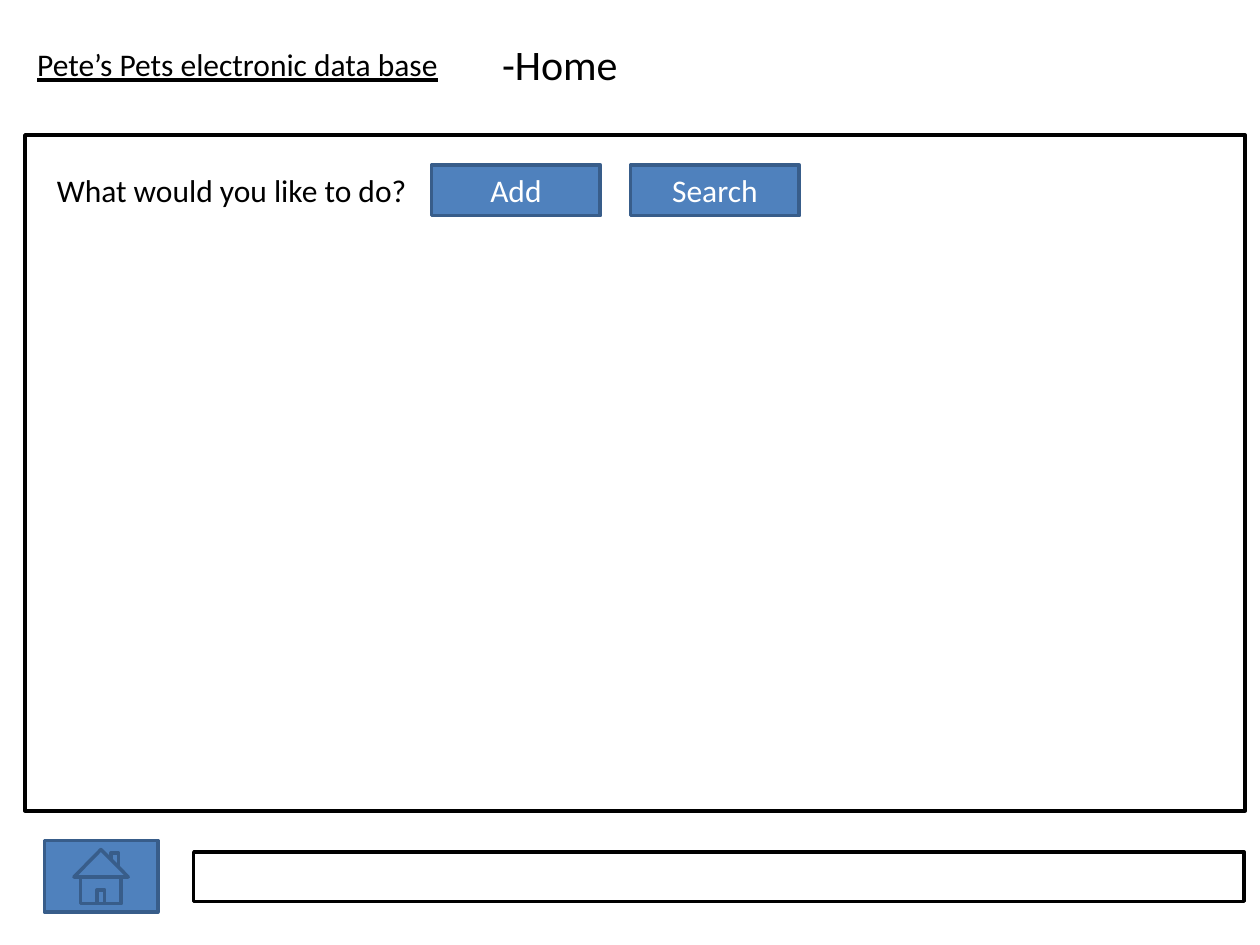
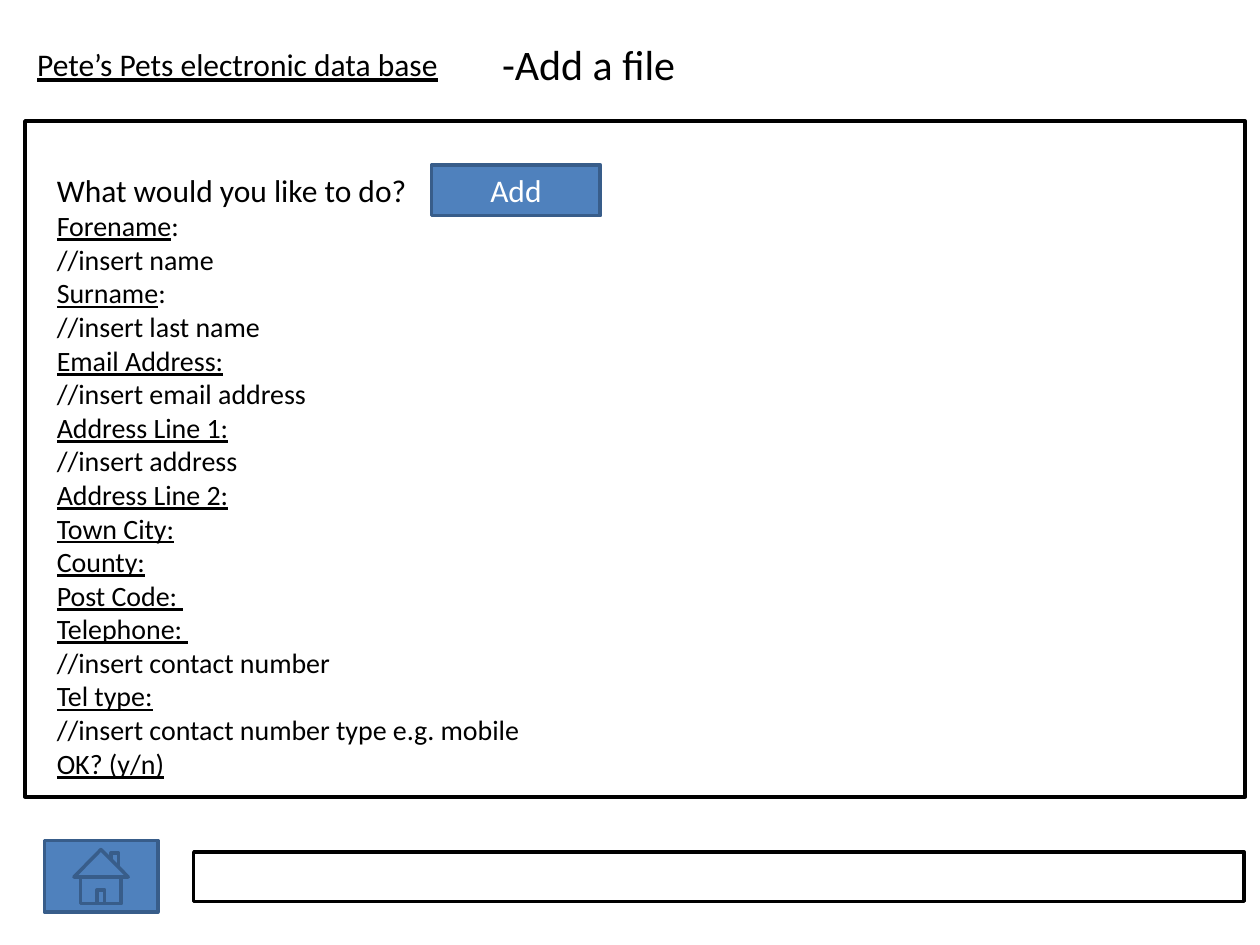
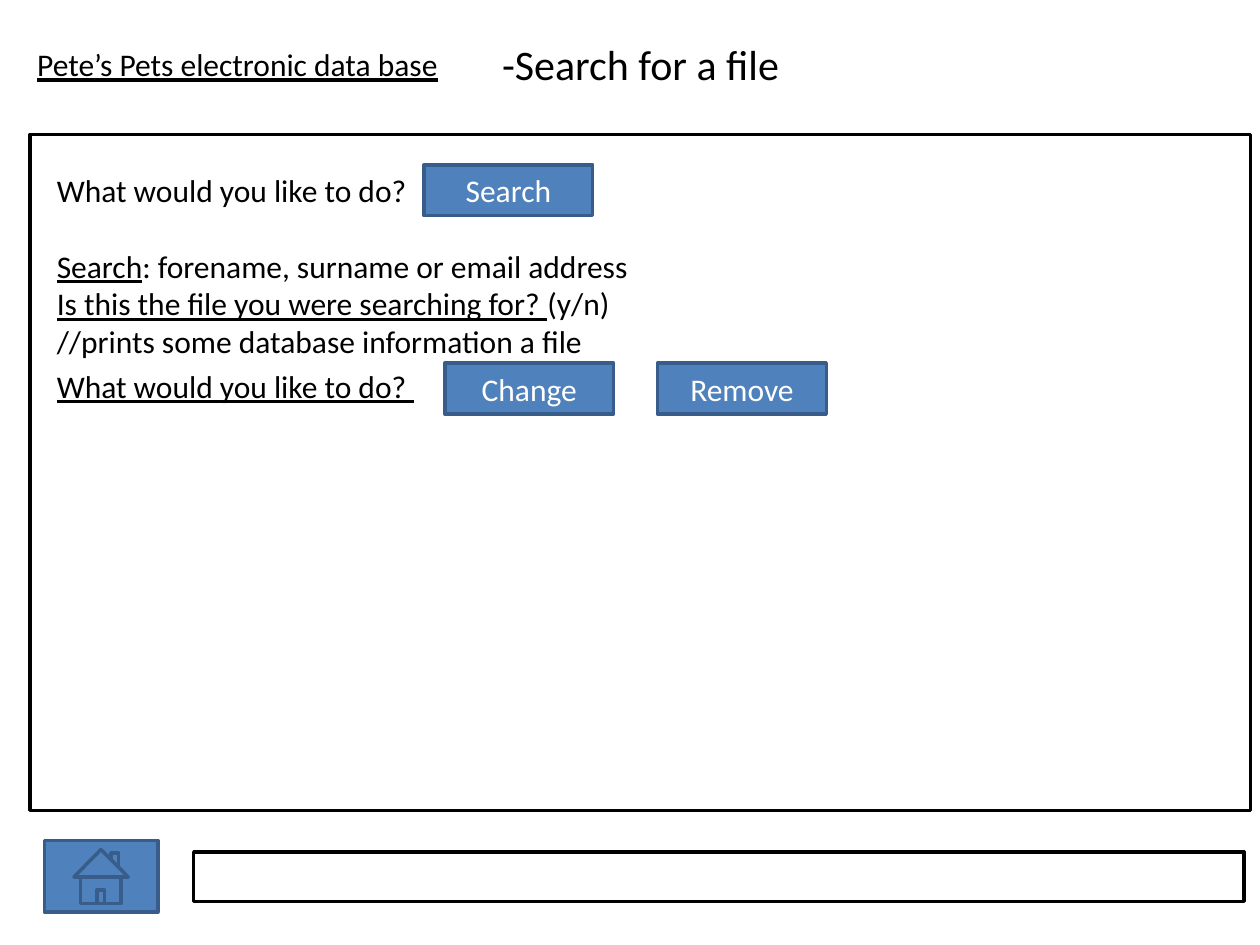
"""Build three screen mock-ups of a pet shop data base."""
from pptx import Presentation
from pptx.dml.color import RGBColor
from pptx.enum.shapes import MSO_SHAPE
from pptx.enum.text import MSO_ANCHOR, MSO_AUTO_SIZE, PP_ALIGN
from pptx.util import Pt

RECT = MSO_SHAPE.RECTANGLE
MIDDLE = MSO_ANCHOR.MIDDLE
GROW = MSO_AUTO_SIZE.SHAPE_TO_FIT_TEXT
LEFT, CENTER = PP_ALIGN.LEFT, PP_ALIGN.CENTER

INK = {"black": "000000", "white": "FFFFFF", "blue": "4F81BD", "navy": "385D8A"}
ASK = "What would you like to do?"

roof = [(57.7, 485.5), (42.3, 501.2), (73.3, 501.2), (57.7, 485.5)]
flue = [(63.4, 491.2), (63.4, 487.4), (67.7, 487.4), (67.7, 495.4)]
walls = [(46.1, 501.2), (46.1, 516.4), (69.3, 516.4), (69.3, 501.2)]
door = [(55.5, 516.4), (55.5, 508.5), (59.8, 508.5), (59.8, 516.4)]

screens = [
    {
        "title": "-Home", "width": 194, "panel": (14.3, 77.2),
        "body": (237.6, 29.1), "size": 18, "gaps": {}, "lines": [ASK],
        "keys": [("Add", 246.6, 94.2), ("Search", 360.3, 94.2)],
    },
    {
        "title": "-Add a file", "width": 119.5, "panel": (14.3, 69.2),
        "body": (283.7, 358.6), "size": 16, "gaps": {},
        "lines": [
            ASK, "_Forename_:", "//insert name", "_Surname_:",
            "//insert last name", "_Email Address:_", "//insert email address",
            "_Address Line 1:_", "//insert address", "_Address Line 2:_",
            "_Town City:_", "_County:_", "_Post Code: _", "_Telephone: _",
            "//insert contact number", "_Tel type:_",
            "//insert contact number type e.g. mobile", "_OK? (y/n)_",
        ],
        "keys": [("Add", 246.6, 94.2)],
    },
    {
        "title": "-Search for a file", "width": 194, "panel": (17.3, 76.9),
        "body": (408.2, 181.4), "size": 18, "gaps": {1: 21.6, 4: 4},
        "lines": [
            ASK, "_Search_: forename, surname or email address",
            "_Is this the file you were searching for? _(y/n)",
            "//prints some database information a file", f"_{ASK} _",
        ],
        "keys": [("Search", 242.3, 94.2), ("Change", 254.2, 207.5),
                 ("Remove", 375.8, 207.5)],
    },
]


def draw(slide, area, fill, edge):
    """Add a filled and outlined rectangle."""
    shape = slide.shapes.add_shape(RECT, *map(Pt, area))
    shape.shadow.inherit = False
    shape.fill.solid()
    shape.fill.fore_color.rgb = RGBColor.from_string(INK[fill])
    shape.line.color.rgb = RGBColor.from_string(INK[edge])
    shape.line.width = Pt(2)
    return shape


def write(frame, lines, sizes, gaps, ink="black", align=LEFT):
    """Write lines, underlining what stands between underscores."""
    frame.word_wrap = True
    for row, (line, size) in enumerate(zip(lines, sizes)):
        para = frame.add_paragraph() if row else frame.paragraphs[0]
        para.alignment = align
        if row in gaps:
            para.space_before = Pt(gaps[row])
        for part, text in enumerate(line.split("_")):
            if text:
                run = para.add_run()
                run.text = text
                look = {"name": "Calibri", "size": Pt(size), "underline": part % 2 == 1}
                for key, value in look.items():
                    setattr(run.font, key, value)
                run.font.color.rgb = RGBColor.from_string(INK[ink])


deck = Presentation()
deck.slide_width, deck.slide_height = Pt(720), Pt(540)

for screen in screens:
    slide = deck.slides.add_slide(deck.slide_layouts[6])
    draw(slide, (110.7, 486.8, 600.2, 28.3), "white", "black")
    draw(slide, (*screen["panel"], 697.3, 386.2), "white", "black")
    draw(slide, (25.4, 480.3, 64.8, 41), "blue", "navy")

    pen = slide.shapes.build_freeform(Pt(roof[0][0]), Pt(roof[0][1]))
    for part in (roof, flue, walls, door):
        spots = [(Pt(x), Pt(y)) for x, y in part]
        pen.move_to(*spots[0])
        pen.add_line_segments(spots[1:], close=False)
    house = pen.convert_to_shape()
    house.shadow.inherit = False
    house.fill.background()
    house.line.color.rgb = RGBColor.from_string(INK["navy"])
    house.line.width = Pt(2)

    lines = screen["lines"]
    sizes = [18] + [screen["size"]] * (len(lines) - 1)
    texts = [
        ((14.2, 22.3, 244, 29.1), ["_Pete’s Pets electronic data base_"], [18], {}),
        ((279.8, 18.4, screen["width"], 36.4), [screen["title"]], [24], {}),
        ((25.4, 94.2, *screen["body"]), lines, sizes, screen["gaps"]),
    ]
    for area, words, points, gaps in texts:
        frame = slide.shapes.add_textbox(*map(Pt, area)).text_frame
        frame.auto_size = GROW
        write(frame, words, points, gaps)

    for label, left, top in screen["keys"]:
        key = draw(slide, (left, top, 96.4, 29.1), "blue", "navy")
        key.text_frame.vertical_anchor = MIDDLE
        write(key.text_frame, [label], [18], {}, "white", CENTER)

deck.save("out.pptx")
